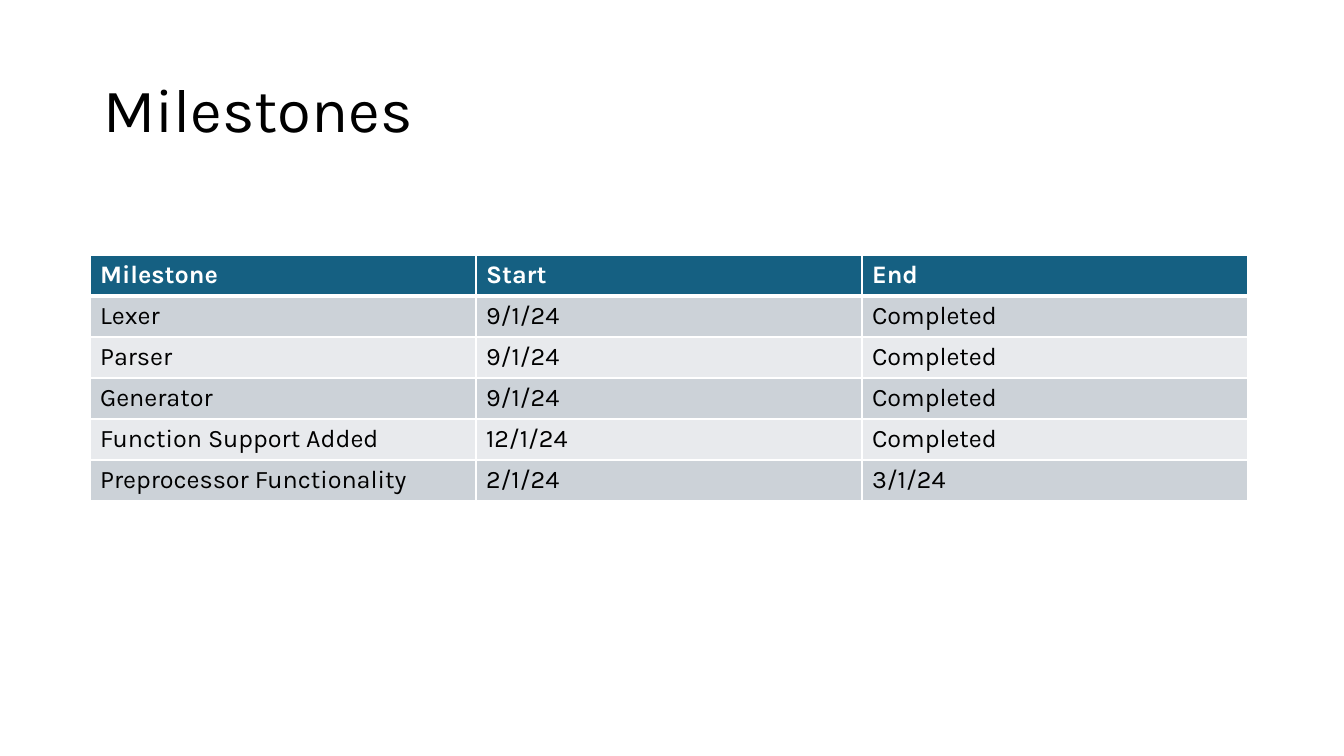
"""Build the Milestones slide: a title above a banded schedule table."""
from lxml.etree import SubElement
from pptx import Presentation
from pptx.dml.color import RGBColor
from pptx.enum.text import MSO_ANCHOR, MSO_AUTO_SIZE, PP_ALIGN
from pptx.oxml.ns import qn
from pptx.util import Emu, Pt

SCALE = 914400 / 100.8
FONT = "Karla"
WHITE, BLACK = "FFFFFF", "000000"
HEADER_FILL = "156082"
BAND_FILLS = ["CCD2D8", "E8EAED"]
COLUMN_WIDTH, ROW_HEIGHT = 386, 41
MILESTONES = [
    ("Milestone", "Start", "End"),
    ("Lexer", "9/1/24", "Completed"),
    ("Parser", "9/1/24", "Completed"),
    ("Generator", "9/1/24", "Completed"),
    ("Function Support Added", "12/1/24", "Completed"),
    ("Preprocessor Functionality", "2/1/24", "3/1/24"),
]


def px(*lengths):
    return [Emu(round(length * SCALE)) for length in lengths]


def add_run(paragraph, text, size, color, bold=False):
    run = paragraph.add_run()
    run.text = text
    run.font.name = FONT
    run.font.size = Pt(size)
    run.font.bold = bold
    run.font.color.rgb = RGBColor.from_string(color)


presentation = Presentation()
presentation.slide_width, presentation.slide_height = px(1344, 756)
slide = presentation.slides.add_slide(presentation.slide_layouts[5])

title = slide.shapes.title
title.left, title.top, title.width, title.height = px(93, 40, 1159, 146)
title.text_frame.auto_size = MSO_AUTO_SIZE.NONE
title.text_frame.vertical_anchor = MSO_ANCHOR.MIDDLE
title_paragraph = title.text_frame.paragraphs[0]
title_paragraph.alignment = PP_ALIGN.LEFT
title_paragraph.line_spacing = 0.9
add_run(title_paragraph, "Milestones", 44, BLACK)

row_count, column_count = len(MILESTONES), len(MILESTONES[0])
table = slide.shapes.add_table(
    row_count, column_count,
    *px(90, 255, column_count * COLUMN_WIDTH, row_count * ROW_HEIGHT)).table
for column in table.columns:
    column.width = px(COLUMN_WIDTH)[0]
for row in table.rows:
    row.height = px(ROW_HEIGHT)[0]

for row_index, texts in enumerate(MILESTONES):
    is_header = row_index == 0
    fill = HEADER_FILL if is_header else BAND_FILLS[(row_index - 1) % 2]
    border_widths = {"a:lnL": 1, "a:lnR": 1,
                     "a:lnT": 3 if row_index == 1 else 1,
                     "a:lnB": 3 if is_header else 1}
    for column_index, text in enumerate(texts):
        cell = table.cell(row_index, column_index)
        add_run(cell.text_frame.paragraphs[0], text, 18,
                WHITE if is_header else BLACK, is_header)
        properties = cell._tc.get_or_add_tcPr()
        for side, width in border_widths.items():
            line = SubElement(properties, qn(side), w=str(Pt(width)))
            line_fill = SubElement(line, qn("a:solidFill"))
            SubElement(line_fill, qn("a:srgbClr"), val=WHITE)
        cell.fill.solid()
        cell.fill.fore_color.rgb = RGBColor.from_string(fill)

presentation.save("out.pptx")
